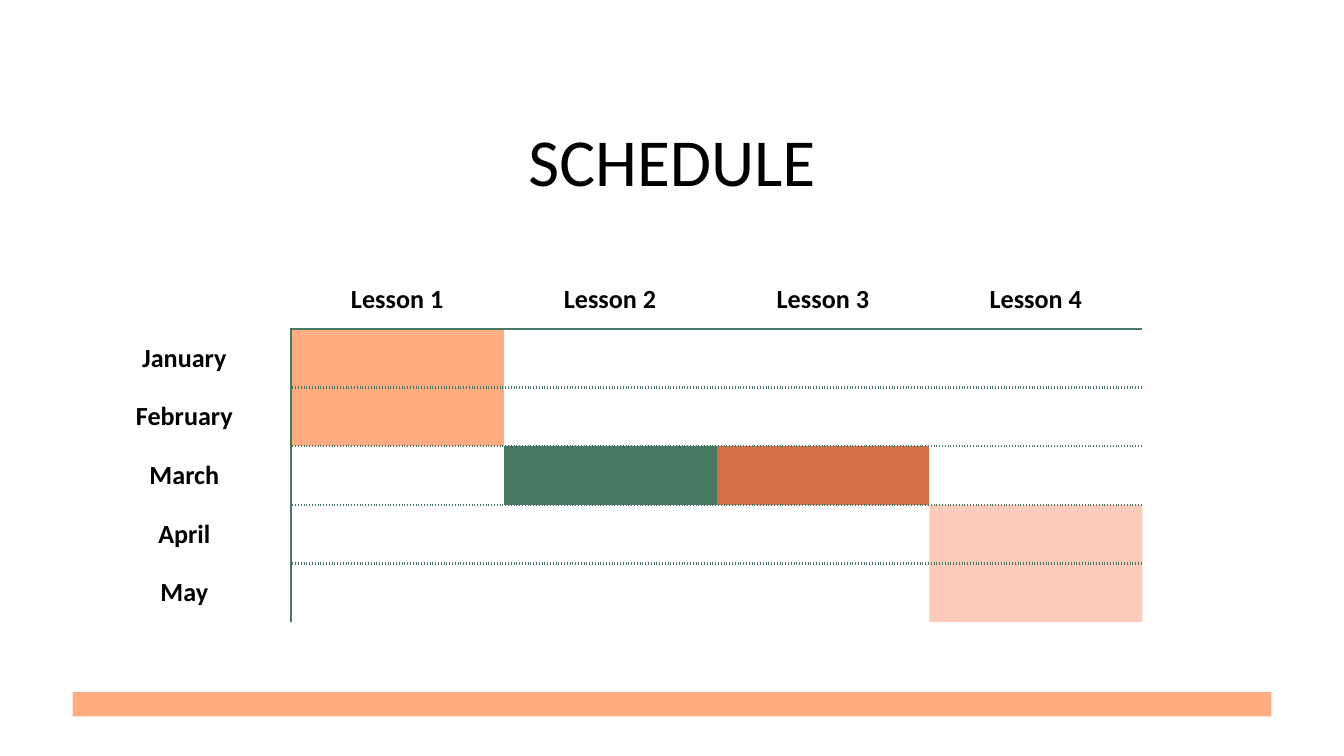
from dataclasses import dataclass

from lxml import etree
from pptx import Presentation
from pptx.dml.color import RGBColor
from pptx.enum.shapes import MSO_SHAPE
from pptx.enum.text import MSO_ANCHOR, PP_ALIGN
from pptx.oxml.ns import qn
from pptx.util import Inches, Pt

RECT = MSO_SHAPE.RECTANGLE
CENTER = PP_ALIGN.CENTER
TOP, MIDDLE = MSO_ANCHOR.TOP, MSO_ANCHOR.MIDDLE


@dataclass(frozen=True)
class Theme:
    font: str = "Calibri"
    title_size: int = 36
    label_size: int = 14
    rule_width: float = 1.5
    ink: str = "000000"
    peach: str = "FFAD80"
    green: str = "477861"
    rust: str = "D36E46"
    coral: str = "FD8860"
    coral_alpha: int = 44


THEME = Theme()
LESSONS = ["Lesson 1", "Lesson 2", "Lesson 3", "Lesson 4"]
MONTHS = ["January", "February", "March", "April", "May"]
BOOKINGS = {
    (1, 1): (THEME.peach, 100),
    (2, 1): (THEME.peach, 100),
    (3, 2): (THEME.green, 100),
    (3, 3): (THEME.rust, 100),
    (4, 4): (THEME.coral, THEME.coral_alpha),
    (5, 4): (THEME.coral, THEME.coral_alpha),
}


def write(tf, text, size, bold=False):
    p = tf.paragraphs[0]
    p.alignment = CENTER
    r = p.add_run()
    r.text = text
    r.font.name = THEME.font
    r.font.size = Pt(size)
    r.font.bold = bold
    r.font.color.rgb = RGBColor.from_string(THEME.ink)


def set_border(cell, side, dash):
    ln = etree.SubElement(cell._tc.get_or_add_tcPr(), qn(f"a:ln{side}"))
    if dash is None:
        etree.SubElement(ln, qn("a:noFill"))
        return
    ln.set("w", str(Pt(THEME.rule_width)))
    fill = etree.SubElement(ln, qn("a:solidFill"))
    etree.SubElement(fill, qn("a:srgbClr"), val=THEME.green)
    etree.SubElement(ln, qn("a:prstDash"), val=dash)


def fill_cell(cell, color, alpha):
    cell.fill.solid()
    cell.fill.fore_color.rgb = RGBColor.from_string(color)
    if alpha < 100:
        clr = cell._tc.tcPr.find(qn("a:solidFill")).find(qn("a:srgbClr"))
        etree.SubElement(clr, qn("a:alpha"), val=str(alpha * 1000))


def row_rule(row, col):
    if col == 0 or row not in range(1, len(MONTHS) + 1):
        return None
    return "solid" if row == 1 else "dot"


def column_rule(row, col):
    return "solid" if col == 1 and row > 0 else None


def add_title(s, x, y, w, h):
    tf = s.shapes.add_textbox(Inches(x), Inches(y), Inches(w), Inches(h)).text_frame
    tf.word_wrap = True
    tf.vertical_anchor = TOP
    tf.margin_left = tf.margin_right = tf.margin_top = tf.margin_bottom = Inches(0.1)
    write(tf, "SCHEDULE", THEME.title_size)


def add_schedule(s, x, y, w, h):
    labels = [["", *LESSONS]] + [[month] + [""] * len(LESSONS) for month in MONTHS]
    table = s.shapes.add_table(
        len(labels), len(labels[0]), Inches(x), Inches(y), Inches(w), Inches(h)
    ).table
    table.first_row = table.horz_banding = False
    for row, texts in enumerate(labels):
        for col, text in enumerate(texts):
            cell = table.cell(row, col)
            cell.vertical_anchor = MIDDLE
            cell.margin_left = cell.margin_right = Inches(0.1)
            cell.margin_top = cell.margin_bottom = Inches(0.1 if text else 0)
            set_border(cell, "L", column_rule(row, col))
            set_border(cell, "R", column_rule(row, col + 1))
            set_border(cell, "T", row_rule(row, col))
            set_border(cell, "B", row_rule(row + 1, col))
            if (row, col) in BOOKINGS:
                fill_cell(cell, *BOOKINGS[row, col])
            else:
                cell.fill.background()
            if text:
                write(cell.text_frame, text, THEME.label_size, bold=True)


def add_footer_bar(s, x, y, w, h):
    sp = s.shapes.add_shape(RECT, Inches(x), Inches(y), Inches(w), Inches(h))
    sp.shadow.inherit = False
    sp.fill.solid()
    sp.fill.fore_color.rgb = RGBColor.from_string(THEME.peach)
    sp.line.fill.background()


prs = Presentation()
prs.slide_width = Inches(10)
prs.slide_height = prs.slide_width * 9 // 16
s = prs.slides.add_slide(prs.slide_layouts[6])
add_title(s, 1.97, 0.79, 6.06, 0.69)
add_schedule(s, 0.58, 2.01, 7.92, 2.62)
add_footer_bar(s, 0.54, 5.15, 8.92, 0.18)
prs.save("out.pptx")
